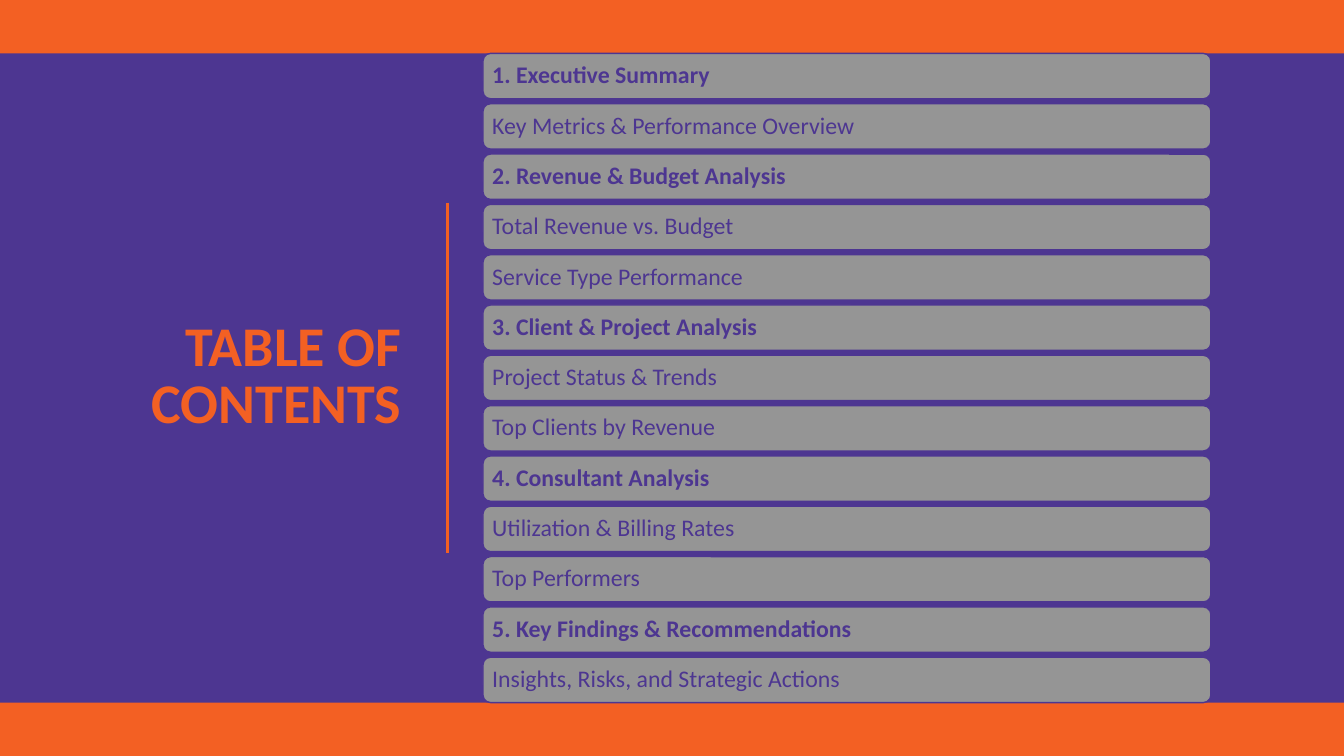
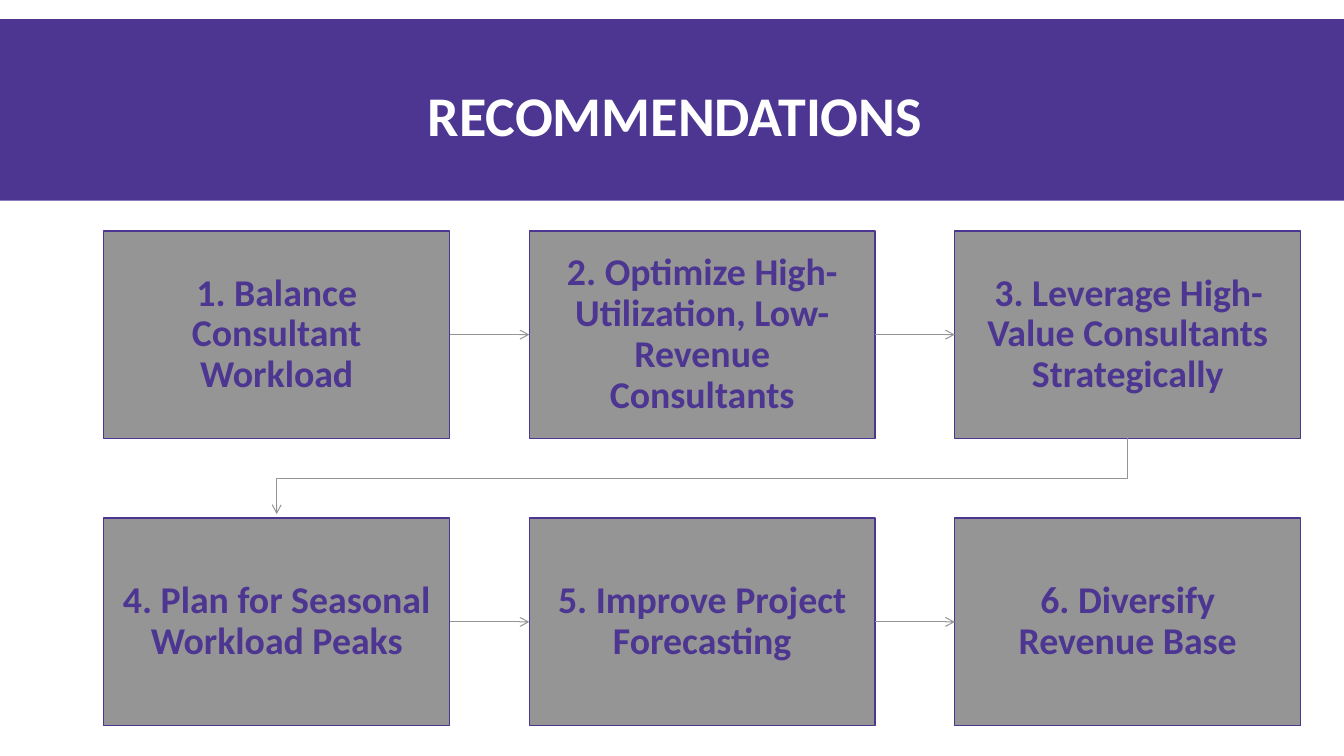
from lxml import etree
from pptx import Presentation
from pptx.dml.color import RGBColor
from pptx.enum.shapes import MSO_CONNECTOR, MSO_SHAPE
from pptx.enum.text import MSO_ANCHOR, MSO_AUTO_SIZE, PP_ALIGN
from pptx.oxml.ns import qn
from pptx.util import Inches, Pt

PURPLE = RGBColor(0x4D, 0x36, 0x91)
ORANGE = RGBColor(0xF3, 0x60, 0x23)
GRAY = RGBColor(0x95, 0x95, 0x95)
WHITE = RGBColor(0xFF, 0xFF, 0xFF)
FONT = "Calibri"

RECTANGLE, ROUNDED = MSO_SHAPE.RECTANGLE, MSO_SHAPE.ROUNDED_RECTANGLE
STRAIGHT = MSO_CONNECTOR.STRAIGHT
LEFT, CENTER, RIGHT = PP_ALIGN.LEFT, PP_ALIGN.CENTER, PP_ALIGN.RIGHT
MIDDLE, BOTTOM = MSO_ANCHOR.MIDDLE, MSO_ANCHOR.BOTTOM
TOP_SIDE, LEFT_SIDE, BOTTOM_SIDE, RIGHT_SIDE = range(4)

WIDTH, HEIGHT = 13.33, 7.5

CONTENTS = [
    ("1. Executive Summary", ["Key Metrics & Performance Overview"]),
    ("2. Revenue & Budget Analysis",
     ["Total Revenue vs. Budget", "Service Type Performance"]),
    ("3. Client & Project Analysis",
     ["Project Status & Trends", "Top Clients by Revenue"]),
    ("4. Consultant Analysis",
     ["Utilization & Billing Rates", "Top Performers"]),
    ("5. Key Findings & Recommendations",
     ["Insights, Risks, and Strategic Actions"]),
]

RECOMMENDATIONS = [
    "1. Balance Consultant Workload",
    "2. Optimize High-Utilization, Low-Revenue Consultants",
    "3. Leverage High-Value Consultants Strategically",
    "4. Plan for Seasonal Workload Peaks",
    "5. Improve Project Forecasting",
    "6. Diversify Revenue Base",
]

EDGE_BAND = 0.53
ROW_LEFT, ROW_WIDTH, ROW_HEIGHT = 4.79, 7.22, 0.45
GRID_COLUMNS = 3
GRID_LEFT, GRID_TOP = 1.03, 2.29
BOX_WIDTH, BOX_HEIGHT = 3.43, 2.06
GRID_GAP = 0.79
ARROW_GAP = 0.04


def set_text(shape, text, size, color, bold, alignment, anchor, spacing):
    frame = shape.text_frame
    frame.text = text
    frame.word_wrap = True
    frame.auto_size = MSO_AUTO_SIZE.NONE
    frame.vertical_anchor = anchor
    paragraph = frame.paragraphs[0]
    paragraph.alignment = alignment
    paragraph.line_spacing = spacing
    font = paragraph.runs[0].font
    font.name, font.size, font.bold = FONT, Pt(size), bold
    font.color.rgb = color


def add_titled_slide(presentation, title, place, color, alignment, anchor):
    slide = presentation.slides.add_slide(presentation.slide_layouts[5])
    shape = slide.shapes.title
    shape.left, shape.top, shape.width, shape.height = map(Inches, place)
    set_text(shape, title, 40, color, True, alignment, anchor, 0.85)
    return slide


def add_block(slide, kind, place, fill, outline=None):
    shape = slide.shapes.add_shape(kind, *map(Inches, place))
    shape.shadow.inherit = False
    shape.fill.solid()
    shape.fill.fore_color.rgb = fill
    if outline is None:
        shape.line.fill.background()
    else:
        shape.line.color.rgb = outline
        shape.line.width = Pt(1)
    return shape


def set_margins(shape, horizontal, vertical):
    frame = shape.text_frame
    frame.margin_left = frame.margin_right = Inches(horizontal)
    frame.margin_top = frame.margin_bottom = Inches(vertical)


def style_line(shape, color, width, arrow=False):
    shape.line.color.rgb = color
    shape.line.width = Pt(width)
    if arrow:
        line = shape.line._get_or_add_ln()
        etree.SubElement(line, qn("a:tailEnd"), type="arrow")


def add_straight(slide, start, end):
    connector = slide.shapes.add_connector(STRAIGHT, *map(Inches, start + end))
    etree.SubElement(connector._element.spPr, qn("a:effectLst"))
    return connector


def build_contents(presentation):
    slide = add_titled_slide(presentation, "TABLE OF CONTENTS",
                             (0.7, 1.45, 3.38, 4.6), ORANGE, RIGHT, MIDDLE)
    slide.background.fill.solid()
    slide.background.fill.fore_color.rgb = PURPLE
    for top in (0, HEIGHT - EDGE_BAND):
        add_block(slide, RECTANGLE, (0, top, WIDTH, EDGE_BAND), ORANGE)
    divider = add_straight(slide, (4.44, 2.01), (4.44, 5.49))
    style_line(divider, ORANGE, 2)

    rows = []
    for section, topics in CONTENTS:
        rows.append((section, True))
        rows.extend((topic, False) for topic in topics)
    pitch = (HEIGHT - 2 * EDGE_BAND - ROW_HEIGHT) / (len(rows) - 1)
    for index, (text, bold) in enumerate(rows):
        place = (ROW_LEFT, EDGE_BAND + index * pitch, ROW_WIDTH, ROW_HEIGHT)
        row = add_block(slide, ROUNDED, place, GRAY, PURPLE)
        set_margins(row, 0.07, 0)
        set_text(row, text, 17, PURPLE, bold, LEFT, MIDDLE, 0.9)


def add_row_turn(slide, last_box, first_box):
    """Draw the bent arrow from the end of one row to the start of the next."""
    start_x = last_box.left + last_box.width // 2
    start_y = last_box.top + last_box.height
    end_x = first_box.left + first_box.width // 2
    end_y = first_box.top - Inches(ARROW_GAP)
    middle_y = (start_y + first_box.top) // 2
    builder = slide.shapes.build_freeform(start_x, start_y)
    builder.add_line_segments(
        [(start_x, middle_y), (end_x, middle_y), (end_x, end_y)], close=False)
    turn = builder.convert_to_shape()
    turn.shadow.inherit = False
    turn.fill.background()
    style_line(turn, GRAY, 0.75, arrow=True)


def build_recommendations(presentation):
    slide = add_titled_slide(presentation, "RECOMMENDATIONS",
                             (0.12, 0.26, 13.15, 1.26), WHITE, CENTER, BOTTOM)
    band = add_block(slide, RECTANGLE, (0, 0.19, WIDTH, 1.8), PURPLE)
    slide.shapes.title._element.addprevious(band._element)

    boxes = []
    for index, text in enumerate(RECOMMENDATIONS):
        row, column = divmod(index, GRID_COLUMNS)
        place = (GRID_LEFT + column * (BOX_WIDTH + GRID_GAP),
                 GRID_TOP + row * (BOX_HEIGHT + GRID_GAP),
                 BOX_WIDTH, BOX_HEIGHT)
        box = add_block(slide, RECTANGLE, place, GRAY, PURPLE)
        set_margins(box, 0.17, 0.18)
        set_text(box, text, 27, PURPLE, True, CENTER, MIDDLE, 0.9)
        boxes.append(box)

    for index, (box, following) in enumerate(zip(boxes, boxes[1:]), start=1):
        if index % GRID_COLUMNS == 0:
            add_row_turn(slide, box, following)
        else:
            arrow = add_straight(slide, (0, 0), (0, 0))
            arrow.begin_connect(box, RIGHT_SIDE)
            arrow.end_connect(following, LEFT_SIDE)
            style_line(arrow, GRAY, 0.75, arrow=True)


def main():
    presentation = Presentation()
    presentation.slide_width = Inches(WIDTH)
    presentation.slide_height = Inches(HEIGHT)
    build_contents(presentation)
    build_recommendations(presentation)
    presentation.save("out.pptx")


if __name__ == "__main__":
    main()
